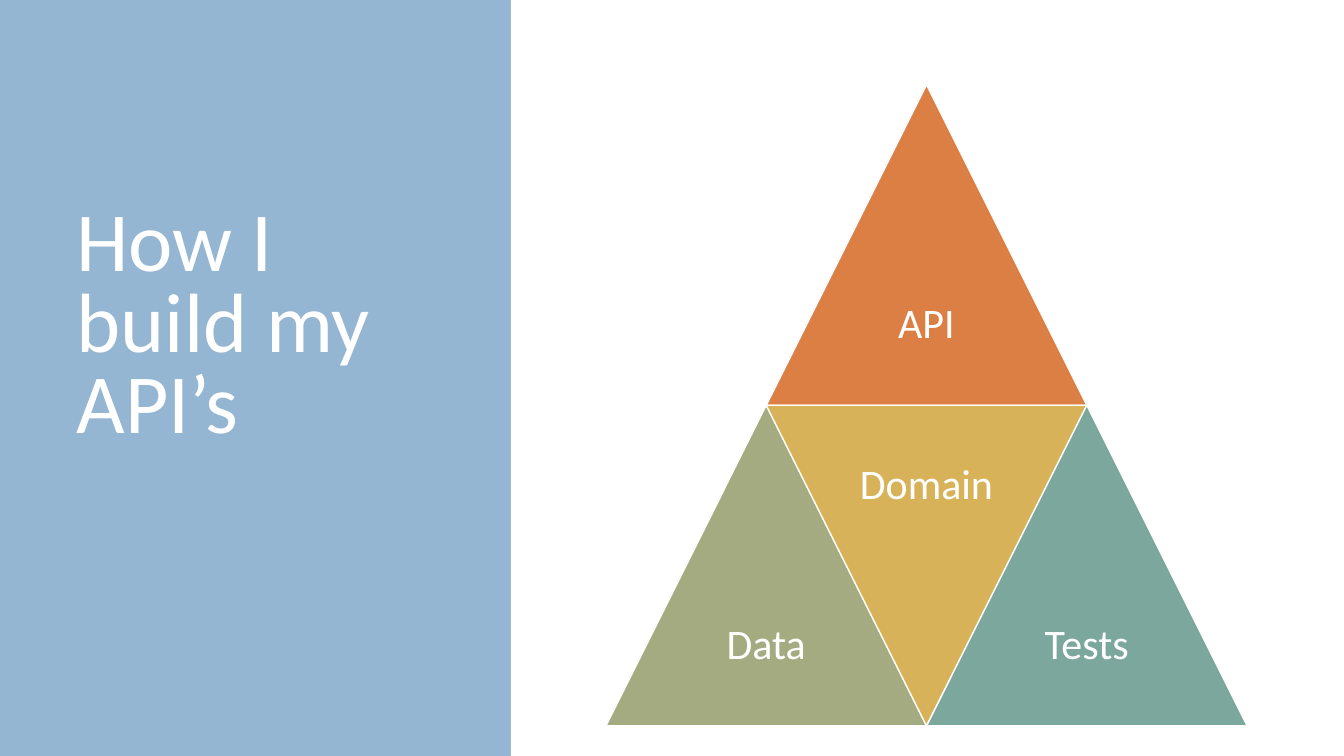
from pptx import Presentation, util as u
from pptx.dml import color
from pptx.enum import shapes, text

WIDTH, HEIGHT = 960, 540
SKY, WHITE = "94B6D2", "FFFFFF"


def rgb(value):
    """Return the colour for a hex string."""
    return color.RGBColor.from_string(value)


def points(box):
    """Turn a box of plain numbers into lengths in points."""
    return [u.Pt(value) for value in box]


def set_attributes(target, formats):
    """Set every attribute named in a dict of format values."""
    for name, value in formats.items():
        setattr(target, name, value)


def write(shape, words, size, spacing, alignment, anchor, inset):
    """Put one formatted paragraph of white text into a shape."""
    frame = shape.text_frame
    frame.text = words
    horizontal, vertical = points(inset)
    set_attributes(frame, {
        "word_wrap": True, "auto_size": text.MSO_AUTO_SIZE.NONE,
        "vertical_anchor": anchor,
        "margin_left": horizontal, "margin_right": horizontal,
        "margin_top": vertical, "margin_bottom": vertical})
    paragraph = frame.paragraphs[0]
    set_attributes(paragraph, {"alignment": alignment, "line_spacing": spacing,
                               "space_before": u.Pt(0)})
    font = paragraph.runs[0].font
    set_attributes(font, {"name": "Calibri", "size": u.Pt(size), "bold": False})
    font.color.rgb = rgb(WHITE)


def add_panel(slide, box, fill):
    """Cover a box with a plain rectangle."""
    panel = slide.shapes.add_shape(shapes.MSO_SHAPE.RECTANGLE, *points(box))
    panel.shadow.inherit = False
    panel.fill.solid()
    panel.fill.fore_color.rgb = rgb(fill)
    panel.line.fill.background()


def add_title(slide, box, words):
    """Place the title placeholder in a box, in front of the panels."""
    title = slide.shapes.title
    set_attributes(title, dict(zip(("left", "top", "width", "height"), points(box))))
    write(title, words, 60, 0.8, text.PP_ALIGN.LEFT, text.MSO_ANCHOR.BOTTOM, (7.2, 3.6))
    title.element.getparent().append(title.element)


def add_triangle(group, box, label, fill, inverted):
    """Draw a labelled triangle, pointing down if inverted."""
    left, top, width, height = box
    triangle = group.shapes.add_shape(shapes.MSO_SHAPE.ISOSCELES_TRIANGLE, *points(box))
    triangle.rotation = 180 if inverted else 0
    triangle.shadow.inherit = False
    triangle.fill.solid()
    triangle.fill.fore_color.rgb = rgb(fill)
    triangle.line.color.rgb = rgb(WHITE)
    triangle.line.width = u.Pt(1)
    label_top = top if inverted else top + height / 2
    label_box = group.shapes.add_textbox(
        *points((left + width / 4, label_top, width / 2, height / 2)))
    write(label_box, label, 30, 0.9, text.PP_ALIGN.CENTER, text.MSO_ANCHOR.MIDDLE, (3, 3))


def add_pyramid(slide, box):
    """Fill a box with four triangles that form one large triangle."""
    left, top, width, height = box
    group = slide.shapes.add_group_shape()
    for label, fill, column, row, inverted in (
            ("API", "DC7F45", 1, 0, False),
            ("Data", "A5AB81", 0, 1, False),
            ("Domain", "D8B259", 1, 1, True),
            ("Tests", "7BA79D", 2, 1, False)):
        cell = (left + column * width / 4, top + row * height / 2, width / 2, height / 2)
        add_triangle(group, cell, label, fill, inverted)


def add_pyramid_slide(presentation):
    """Add the slide with a title beside the pyramid."""
    slide = presentation.slides.add_slide(presentation.slide_layouts[5])
    slide.background.fill.solid()
    slide.background.fill.fore_color.rgb = rgb(SKY)
    add_panel(slide, (0, 0, WIDTH, HEIGHT), SKY)
    add_panel(slide, (365, 0, WIDTH - 365, HEIGHT), WHITE)
    add_title(slide, (47.5, 60.5, 273, 264), "How I build my API’s")
    add_pyramid(slide, (432.8, 60.5, 458, 458))


def main():
    """Build and save the presentation."""
    presentation = Presentation()
    set_attributes(presentation, {"slide_width": u.Pt(WIDTH), "slide_height": u.Pt(HEIGHT)})
    add_pyramid_slide(presentation)
    presentation.save("out.pptx")


if __name__ == "__main__":
    main()
